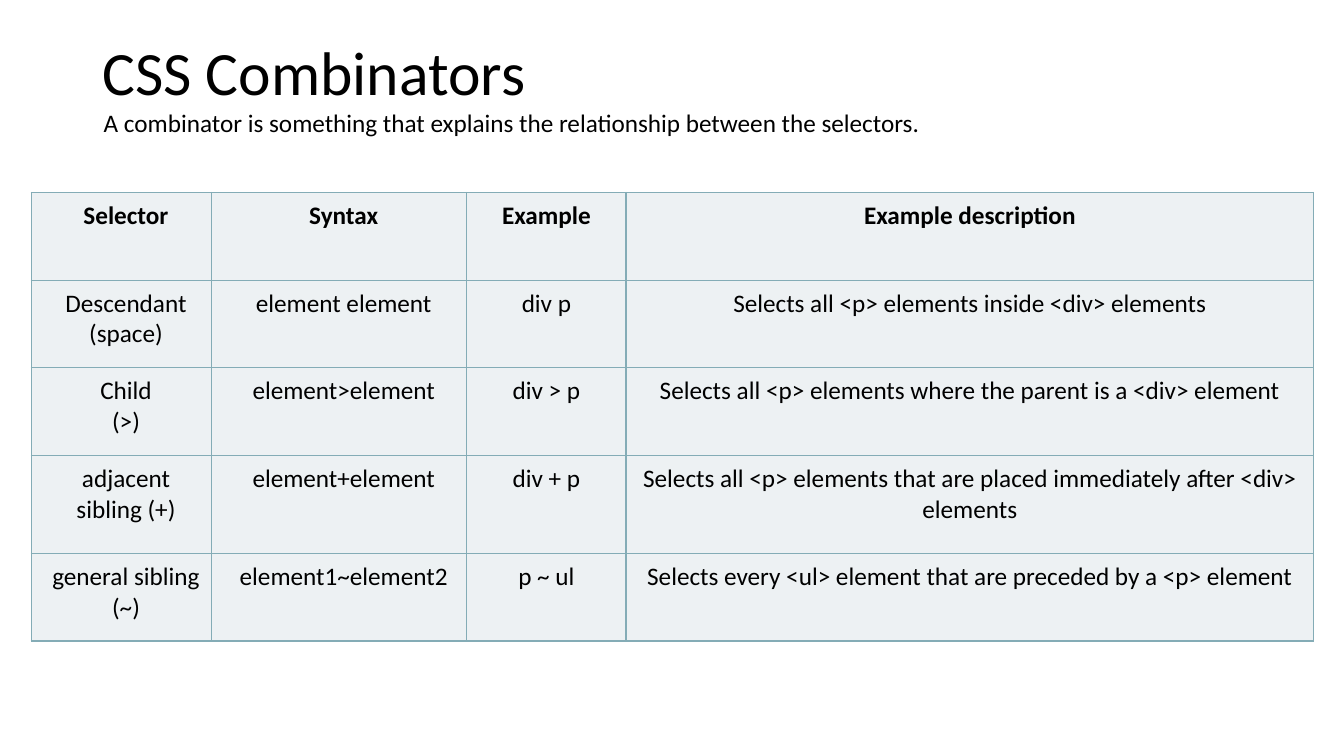
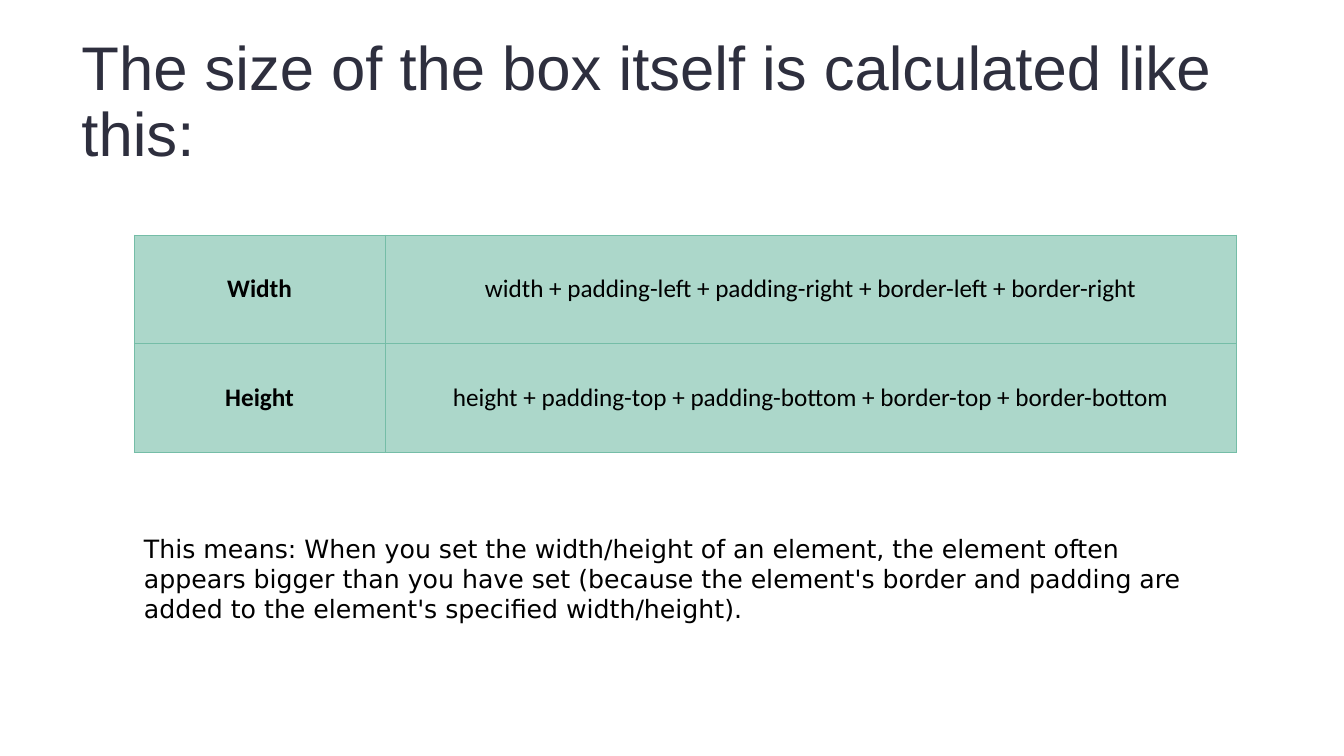
import pptx
import pptx.dml.color
import pptx.enum.text
import pptx.oxml
import pptx.oxml.ns
import pptx.util

Inches = pptx.util.Inches
Pt = pptx.util.Pt
ALIGN = pptx.enum.text.PP_ALIGN
ANCHOR = pptx.enum.text.MSO_ANCHOR

BLACK = "000000"
TITLE = {"size": 44, "name": "Calibri", "color": BLACK}
BODY = {"size": 18, "name": "Calibri", "color": BLACK}

COMBINATORS = [
    ["Selector", "Syntax", "Example", "Example description"],
    ["Descendant (space)", "element element", "div p",
     "Selects all <p> elements inside <div> elements"],
    ["Child\n(>)", "element>element", "div > p",
     "Selects all <p> elements where the parent is a <div> element"],
    ["adjacent sibling (+)", "element+element", "div + p",
     "Selects all <p> elements that are placed immediately after <div> elements"],
    ["general sibling (~)", "element1~element2", "p ~ ul",
     "Selects every <ul> element that are preceded by a <p> element"],
]
BOX_SIZES = [
    ["Width", "width + padding-left + padding-right + border-left + border-right"],
    ["Height", "height + padding-top + padding-bottom + border-top + border-bottom"],
]


def rgb(value):
    return pptx.dml.color.RGBColor.from_string(value)


def style_font(font, style):
    for key, value in style.items():
        if key == "color":
            font.color.rgb = rgb(value)
        else:
            setattr(font, key, Pt(value) if key == "size" else value)


def write(frame, text, style, **layout):
    """Fill a text frame, one paragraph a line, with shared paragraph layout."""
    for index, line in enumerate(text.split("\n")):
        para = frame.add_paragraph() if index else frame.paragraphs[0]
        span = para.add_run()
        span.text = line
        style_font(span.font, style)
        for key, value in layout.items():
            setattr(para, key, value)


def add_text(page, box, text, style, anchor=ANCHOR.TOP, **layout):
    frame = page.shapes.add_textbox(*map(Inches, box)).text_frame
    frame.word_wrap = True
    frame.vertical_anchor = anchor
    write(frame, text, style, **layout)


def add_title(page, box, text, **changes):
    add_text(page, box, text, {**TITLE, **changes}, ANCHOR.MIDDLE, line_spacing=0.9)


def set_borders(cell, color, width):
    properties = cell._tc.get_or_add_tcPr()
    for side in ("lnL", "lnR", "lnT", "lnB"):
        properties.append(pptx.oxml.parse_xml(
            f'<a:{side} {pptx.oxml.ns.nsdecls("a")} w="{Pt(width)}">'
            f'<a:solidFill><a:srgbClr val="{color}"/></a:solidFill></a:{side}>'))


def add_grid(page, left, top, widths, heights, rows, fill, border, is_bold, cell_format):
    """Add a table; is_bold(row, column) and cell_format(column) set each cell."""
    table = page.shapes.add_table(
        len(rows), len(widths), Inches(left), Inches(top),
        Inches(sum(widths)), Inches(sum(heights))).table
    table.first_row = table.horz_banding = False
    for column, width in zip(table.columns, widths):
        column.width = Inches(width)
    for row, height in zip(table.rows, heights):
        row.height = Inches(height)
    for row, texts in enumerate(rows):
        for column, text in enumerate(texts):
            cell = table.cell(row, column)
            set_borders(cell, *border)
            cell.fill.solid()
            cell.fill.fore_color.rgb = rgb(fill)
            for key, value in cell_format(column).items():
                setattr(cell, key, value)
            write(cell.text_frame, text, {**BODY, "bold": is_bold(row, column)},
                  alignment=ALIGN.CENTER)


def combinator_cell(column):
    """Give the first two columns a wider left margin."""
    margins = dict.fromkeys(
        ("margin_left", "margin_top", "margin_right", "margin_bottom"), Inches(0.08))
    if column < 2:
        margins["margin_left"] = Inches(0.17)
    return margins


def build_combinators(page):
    add_title(page, (0.92, 0.29, 11.5, 0.91), "CSS Combinators")
    add_text(page, (0.93, 1.02, 9.02, 0.4),
             "A combinator is something that explains the relationship between the selectors.",
             BODY)
    add_grid(page, 0.31, 1.91, (1.79, 2.53, 1.58, 6.82), (0.87, 0.87, 0.87, 0.97, 0.87),
             COMBINATORS, "EDF1F3", ("84ACB6", 1),
             lambda row, column: row == 0, combinator_cell)


def build_box_size(page):
    left, width = 1.33, 10.93
    label_width = 2.49
    add_title(page, (0.71, 0.3, 12.17, 1.45),
              "The size of the box itself is calculated like this:",
              name="Arial", color="2E2F3E")
    add_grid(page, left, 2.33, (label_width, width - label_width), (1.08, 1.08),
             BOX_SIZES, "ACD7CA", ("75BDA7", 0.5),
             lambda row, column: column == 0,
             lambda column: {"vertical_anchor": ANCHOR.MIDDLE})
    add_text(page, (left, 5.24, width, 1.01),
             "This means: When you set the width/height of an element, the element often "
             "appears bigger than you have set (because the element's border and padding "
             "are added to the element's specified width/height).",
             {**BODY, "name": "DejaVu Sans"})


def main():
    deck = pptx.Presentation()
    deck.slide_width, deck.slide_height = Inches(13.33), Inches(7.5)
    for build in (build_combinators, build_box_size):
        build(deck.slides.add_slide(deck.slide_layouts[6]))
    deck.save("out.pptx")


if __name__ == "__main__":
    main()
